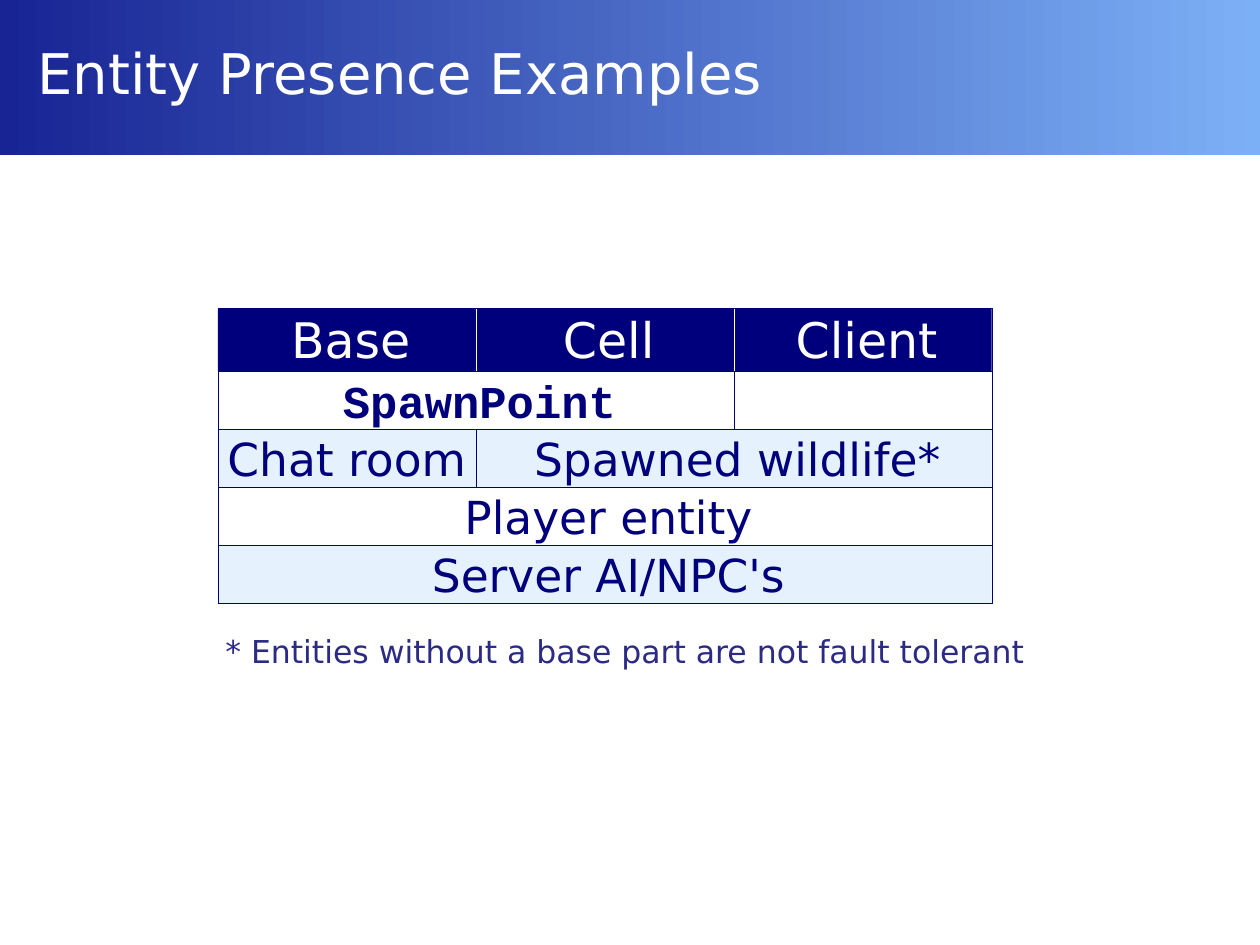
from pptx import Presentation
from pptx.dml.color import RGBColor
from pptx.enum.shapes import MSO_CONNECTOR, MSO_SHAPE
from pptx.enum.text import MSO_ANCHOR, PP_ALIGN
from pptx.util import Pt
from lxml import etree

RECTANGLE = MSO_SHAPE.RECTANGLE
STRAIGHT = MSO_CONNECTOR.STRAIGHT
TOP, MIDDLE = MSO_ANCHOR.TOP, MSO_ANCHOR.MIDDLE
LEFT, CENTER = PP_ALIGN.LEFT, PP_ALIGN.CENTER
DRAWING_NS = "http://schemas.openxmlformats.org/drawingml/2006/main"

COLORS = {
    "white": "FFFFFF",
    "navy": "00007D",
    "pale": "E6F1FE",
    "note": "2B2B85",
    "band_dark": "182494",
    "band_light": "7CB0F6",
}
SANS, MONO = "DejaVu Sans", "Courier New"

# Grid of the presence chart, in points
GRID_LEFT, GRID_TOP = 124.56, 176.4
COLUMN_WIDTH, HEADER_HEIGHT, ROW_HEIGHT = 147.4, 35.8, 33.2


def rgb(name):
    return RGBColor.from_string(COLORS[name])


class SlideBuilder:
    def __init__(self, slide):
        self.shapes = slide.shapes

    def set_text(self, shape, text, size, color, font=SANS, bold=False,
                 align=LEFT, anchor=TOP, insets=(7.2, 3.6, 7.2, 3.6)):
        frame = shape.text_frame
        frame.text = text
        frame.word_wrap = True
        frame.vertical_anchor = anchor
        (frame.margin_left, frame.margin_top,
         frame.margin_right, frame.margin_bottom) = map(Pt, insets)
        paragraph = frame.paragraphs[0]
        paragraph.alignment = align
        for run in paragraph.runs:
            run.font.size = Pt(size)
            run.font.name = font
            run.font.bold = bold
            run.font.color.rgb = rgb(color)

    def rectangle(self, *box):
        shape = self.shapes.add_shape(RECTANGLE, *map(Pt, box))
        shape.shadow.inherit = False
        return shape

    def band(self, *box):
        shape = self.rectangle(*box)
        shape.line.fill.background()
        shape.fill.gradient()
        shape.fill.gradient_angle = 0
        for stop, color in zip(shape.fill.gradient_stops, ("band_dark", "band_light")):
            stop.color.rgb = rgb(color)

    def cell(self, box, fill, text="", size=26, color="navy", inset=4.32, **style):
        shape = self.rectangle(*box)
        shape.fill.solid()
        shape.fill.fore_color.rgb = rgb(fill)
        shape.line.color.rgb = rgb("navy")
        shape.line.width = Pt(0.25)
        if text:
            self.set_text(shape, text, size, color, align=CENTER,
                          insets=(inset, 0.72, 0, 0.72), **style)

    def divider(self, x, top, bottom):
        line = self.shapes.add_connector(STRAIGHT, Pt(x), Pt(bottom), Pt(x), Pt(top))
        line.line.color.rgb = rgb("white")
        line.line.width = Pt(0.75)
        etree.SubElement(line._element.spPr, f"{{{DRAWING_NS}}}effectLst")

    def label(self, box, text, size, color, **style):
        self.set_text(self.shapes.add_textbox(*map(Pt, box)), text, size, color, **style)


def main():
    deck = Presentation()
    deck.slide_width, deck.slide_height = Pt(720), Pt(540)
    builder = SlideBuilder(deck.slides.add_slide(deck.slide_layouts[6]))

    # Title band
    builder.band(0, 0, 720, 88.56)
    builder.label((14.4, 0, 689, 82.8), "Entity Presence Examples", 32, "white",
                  anchor=MIDDLE)

    # Column headers
    for column, heading in enumerate(("Base", "Cell", "Client")):
        builder.cell((GRID_LEFT + column * COLUMN_WIDTH, GRID_TOP,
                      COLUMN_WIDTH, HEADER_HEIGHT),
                     "navy", heading, size=28, color="white")

    # Entity rows: (text, first column, columns spanned, style)
    entity_rows = [
        [("SpawnPoint", 0, 2, {"font": MONO, "bold": True}), ("", 2, 1, {})],
        [("Chat room", 0, 1, {"inset": 0}), ("Spawned wildlife*", 1, 2, {})],
        [("Player entity", 0, 3, {})],
        [("Server AI/NPC's", 0, 3, {})],
    ]
    rows_top = GRID_TOP + HEADER_HEIGHT
    for row, entities in enumerate(entity_rows):
        fill = "pale" if row % 2 else "white"
        for text, first, span, style in entities:
            builder.cell((GRID_LEFT + first * COLUMN_WIDTH, rows_top + row * ROW_HEIGHT,
                          span * COLUMN_WIDTH, ROW_HEIGHT), fill, text, **style)

    # White dividers between the headers
    for column in (1, 2):
        builder.divider(GRID_LEFT + column * COLUMN_WIDTH + 0.4, GRID_TOP, rows_top)

    # Footnote
    builder.label((121.7, 357.8, 519, 28.8),
                  "* Entities without a base part are not fault tolerant", 18, "note")

    deck.save("out.pptx")


if __name__ == "__main__":
    main()
